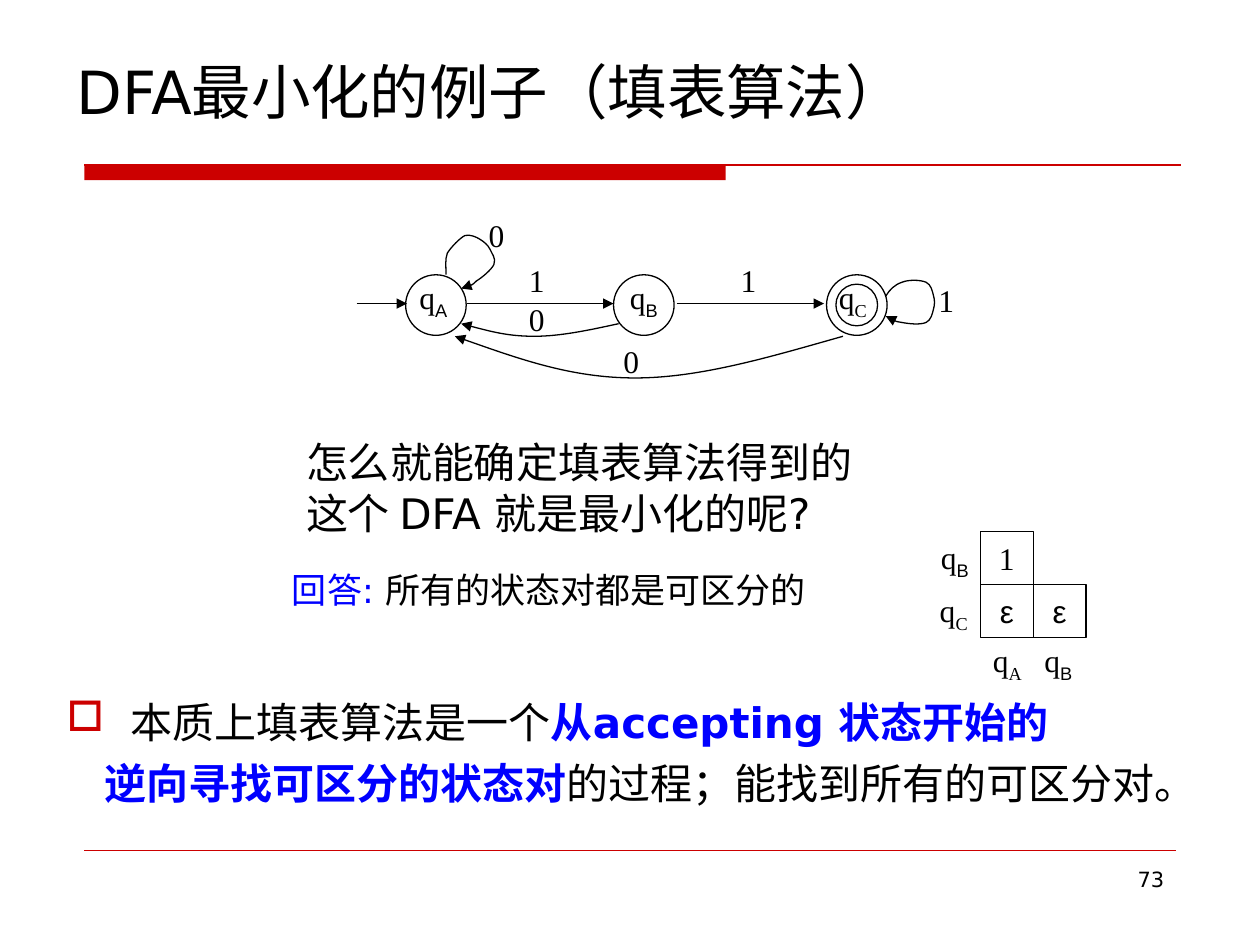
from pptx import Presentation, util as u
from pptx.dml.color import RGBColor
from pptx.enum import shapes, text
from pptx.oxml.ns import qn
from pptx.oxml.xmlchemy import OxmlElement

Pt = u.Pt
BLACK = RGBColor(0, 0, 0)
WHITE = RGBColor(255, 255, 255)
RED = RGBColor(0xCC, 0, 0)
BLUE = RGBColor(0, 0, 0xFF)
SANS, SERIF, ARIAL = "DejaVu Sans", "Times New Roman", "Arial"

# A run is (text, format); a paragraph is a list of runs.
TITLE = [[("DFA最小化的例子（填表算法）", {})]]
QUESTION = [[("怎么就能确定填表算法得到的", {})], [("这个 DFA 就是最小化的呢?", {})]]
ANSWER = [[("回答: ", {"color": BLUE}), ("所有的状态对都是可区分的", {})]]
KEY = {"color": BLUE, "bold": True}
SUMMARY = [
    [("本质上填表算法是一个", {}), ("从accepting 状态开始的", KEY)],
    [("逆向寻找可区分的状态对", KEY), ("的过程；能找到所有的可区分对。", {})],
]
PAGE_NUMBER = [[("73", {})]]

# Subscript letter, its font, circle left, label left
STATES = [("Α", ARIAL, 231.8, 232.6), ("Β", ARIAL, 350.6, 352.8), ("C", SERIF, 472.3, 472.3)]
STATE_TOP, STATE_SIZE, INNER_SIZE = 157, 34.6, 23.8
ARROW_Y = 173.5
ARROWS = [(203.8, 232.6), (267.1, 350.6), (386.6, 470.9)]
SYMBOLS = [("1", 295.2, 145.4), ("1", 416.2, 145.4), ("1", 529.2, 157),
           ("0", 272.2, 120.2), ("0", 295.2, 167.8), ("0", 349.2, 192.2)]

# Each curve: start point, then control, control, end for every Bezier piece
CURVES = [
    [(506.2, 169.2),
     (508.3, 165.6), (511.2, 162.7), (515.5, 161.3),
     (519.1, 159.8), (525.6, 159.8), (529.2, 161.3),
     (532.1, 162.7), (532.8, 166.3), (533.5, 169.2),
     (534.2, 171.4), (534.2, 174.2), (533.5, 176.4),
     (532.8, 179.3), (532.1, 182.9), (529.2, 184.3),
     (525.6, 185.8), (519.1, 185), (515.5, 184.3),
     (511.2, 183.6), (508.3, 182.2), (506.2, 180.7)],
    [(254.9, 157),
     (254.9, 152.6), (254.2, 148.3), (255.6, 144.7),
     (257.8, 141.1), (262.8, 136.1), (265.7, 134.6),
     (268.6, 133.9), (272.2, 135.4), (274.3, 136.8),
     (276.5, 138.2), (278.6, 139.7), (280.1, 142.6),
     (280.8, 144.7), (283.7, 147.6), (282.2, 151.2),
     (280.8, 154.1), (275.8, 158.4), (272.2, 160.6),
     (269.3, 163.4), (266.4, 164.2), (263.5, 164.9)],
    [(353.5, 185),
     (337, 188.6), (320.4, 192.2), (305.3, 192.2),
     (290.2, 192.2), (277.2, 188.6), (263.5, 185)],
    [(481.7, 192.2),
     (440.6, 203.8), (400.3, 216), (362.9, 216),
     (326.2, 216), (293, 203.8), (259.9, 192.2)],
]

CELL, GRID_LEFT, GRID_TOP = 30.2, 560.2, 303.8
CELLS = [("1", SERIF, 0, 0), ("ε", ARIAL, 1, 0), ("ε", ARIAL, 1, 1)]
GRID_LABELS = [("Β", ARIAL, 530.6, 303.8), ("C", SERIF, 529.9, 334.1),
               ("A", SERIF, 560.2, 362.9), ("Β", ARIAL, 589.7, 362.9)]

prs = Presentation()
prs.slide_width, prs.slide_height = Pt(720), Pt(540)
slide = prs.slides.add_slide(prs.slide_layouts[6])


def write(shape, paragraphs, size, font=SANS, align=text.PP_ALIGN.LEFT,
          anchor=text.MSO_ANCHOR.TOP, wrap=True):
    frame = shape.text_frame
    frame.word_wrap, frame.vertical_anchor = wrap, anchor
    for index, runs in enumerate(paragraphs):
        paragraph = frame.add_paragraph() if index else frame.paragraphs[0]
        paragraph.alignment = align
        for words, changes in runs:
            run = paragraph.add_run()
            run.text = words
            look = {"size": Pt(size), "name": font, "color": BLACK, **changes}
            run.font.color.rgb = look.pop("color")
            if look.pop("subscript", False):
                run.font._element.set("baseline", "-25000")
            for key, value in look.items():
                setattr(run.font, key, value)
    return frame


def add_text(box, paragraphs, size, **options):
    return write(slide.shapes.add_textbox(*map(Pt, box)), paragraphs, size, **options)


def add_state_name(letter, font, left, top):
    runs = [("q", {}), (letter, {"name": font, "subscript": True})]
    add_text((left, top, 32.4, 31.7), [runs], 18, font=SERIF, wrap=False)


def set_line(shape, color=BLACK, width=0.75, arrow=False):
    shape.line.color.rgb, shape.line.width = color, Pt(width)
    if arrow:
        tail = OxmlElement("a:tailEnd")
        tail.set("type", "triangle")
        shape._element.spPr.find(qn("a:ln")).append(tail)


def add_block(kind, box, fill=None, line=BLACK):
    shape = slide.shapes.add_shape(kind, *map(Pt, box))
    shape.shadow.inherit = False
    if fill is None:
        shape.fill.background()
    else:
        shape.fill.solid()
        shape.fill.fore_color.rgb = fill
    if line is None:
        shape.line.fill.background()
    else:
        set_line(shape, line)
    return shape


def add_line(x1, x2, y, **look):
    line = slide.shapes.add_connector(shapes.MSO_CONNECTOR.STRAIGHT, Pt(x1), Pt(y), Pt(x2), Pt(y))
    set_line(line, **look)
    line._element.spPr.append(OxmlElement("a:effectLst"))


def add_curve(points):
    """Build a polyline through all points, then turn each three segments into one Bezier."""
    (x, y), *rest = [(Pt(a), Pt(b)) for a, b in points]
    builder = slide.shapes.build_freeform(x, y)
    builder.add_line_segments(rest, close=False)
    curve = builder.convert_to_shape()
    curve.shadow.inherit = False
    curve.fill.background()
    set_line(curve, arrow=True)
    segments = list(curve._element.iter(qn("a:lnTo")))
    for start in range(0, len(segments), 3):
        bezier = OxmlElement("a:cubicBezTo")
        segments[start].addprevious(bezier)
        for segment in segments[start:start + 3]:
            bezier.append(segment[0])
            segment.getparent().remove(segment)


# Rules and page number
RECT, OVAL = shapes.MSO_SHAPE.RECTANGLE, shapes.MSO_SHAPE.OVAL
add_block(RECT, (48.2, 94.3, 366.5, 8.6), fill=RED, line=None)
add_line(48.2, 674.6, 94.3, color=RED)
add_line(48.2, 671.8, 486, color=RED, width=0.25)
add_text((516.2, 491.8, 156.2, 37.4), PAGE_NUMBER, 12, align=text.PP_ALIGN.RIGHT)

# Table of distinguishable pairs
for mark, font, row, column in CELLS:
    cell = add_block(RECT, (GRID_LEFT + column * CELL, GRID_TOP + row * CELL, CELL, CELL))
    write(cell, [[(mark, {})]], 18, font=font, align=text.PP_ALIGN.CENTER,
          anchor=text.MSO_ANCHOR.MIDDLE, wrap=False)
for label in GRID_LABELS:
    add_state_name(*label)

# Automaton
for letter, font, circle_left, label_left in STATES:
    add_block(OVAL, (circle_left, STATE_TOP, STATE_SIZE, STATE_SIZE), fill=WHITE)
    add_state_name(letter, font, label_left, 155.5)
inset = (STATE_SIZE - INNER_SIZE) / 2
add_block(OVAL, (STATES[-1][2] + inset, STATE_TOP + inset, INNER_SIZE, INNER_SIZE))
for x1, x2 in ARROWS:
    add_line(x1, x2, ARROW_Y, arrow=True)
for curve_points in CURVES:
    add_curve(curve_points)
for symbol, left, top in SYMBOLS:
    add_text((left, top, 24.5, 28.8), [[(symbol, {})]], 18, font=SERIF, wrap=False)

# Wording
add_text((167.8, 246.2, 326.2, 64.8), QUESTION, 24, wrap=False)
add_text((159.8, 321.1, 314.6, 31.7), ANSWER, 20)
add_text((36.7, 25.9, 658.1, 51.8), TITLE, 34, anchor=text.MSO_ANCHOR.MIDDLE)
summary = add_text((31, 394.6, 680.4, 96.5), SUMMARY, 24)
first, second = summary.paragraphs
first_props, second_props = (p._p.get_or_add_pPr() for p in (first, second))
for props, margin, indent in ((first_props, 36.7, -36.7), (second_props, 21.6, 0)):
    props.set("marL", str(Pt(margin)))
    props.set("indent", str(Pt(indent)))
bullet_color = OxmlElement("a:buClr")
rgb = OxmlElement("a:srgbClr")
rgb.set("val", str(RED))
bullet_color.append(rgb)
bullet = OxmlElement("a:buChar")
bullet.set("char", "□")
first_props.extend([bullet_color, bullet])
second.space_before = Pt(6)

prs.save("out.pptx")
